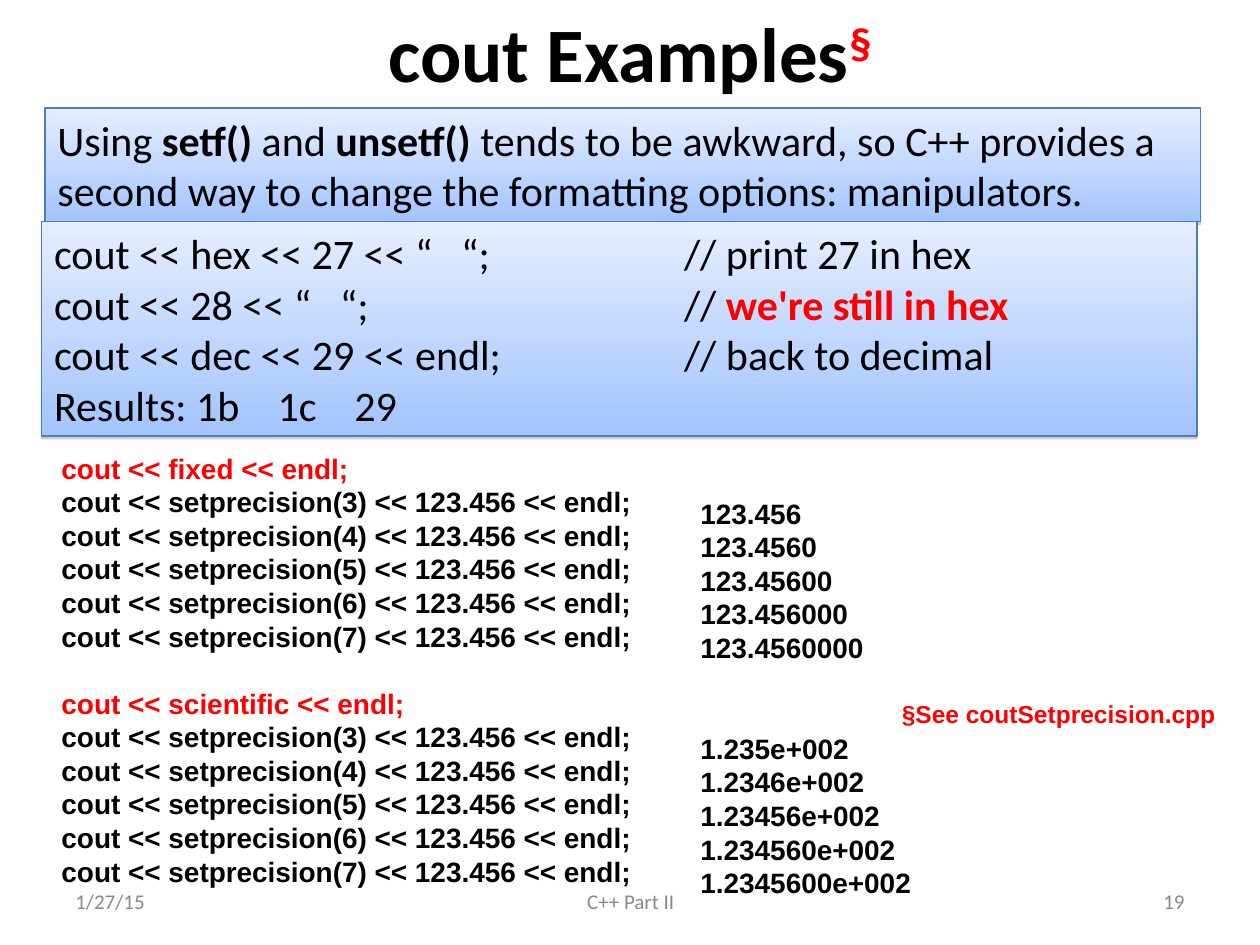
from lxml.etree import SubElement
from pptx import Presentation
from pptx.dml.color import RGBColor
from pptx.enum.shapes import MSO_SHAPE
from pptx.enum.text import MSO_ANCHOR, PP_ALIGN
from pptx.oxml.ns import qn
from pptx.util import Cm, Pt

BLACK, RED, GREY = "000000", "FF0000", "898989"
LINE_HEIGHT = 1.2
TITLE = {"name": "Calibri", "size": Pt(44), "bold": True, "color": BLACK}
FOOTER = {"name": "Calibri", "size": Pt(12), "bold": False, "color": GREY}
PANEL = {"name": "Calibri", "size": Pt(24), "bold": False, "color": BLACK}
LISTING = {"name": "Arial", "size": Pt(16), "bold": True, "color": BLACK}
NOTE = {"name": "Arial", "size": Pt(14), "bold": True, "color": RED}
BOLD, RED_TEXT, RED_BOLD = {"bold": True}, {"color": RED}, {"color": RED, "bold": True}


def rgb(value):
    return RGBColor.from_string(value)


class SlideBuilder:
    """Draws styled text, panels and listings on one slide."""

    def __init__(self, slide):
        self.slide = slide

    def fill_text(self, shape, paragraphs, style, align=PP_ALIGN.LEFT,
                  anchor=MSO_ANCHOR.TOP, wrap=True, gaps=None, tab=None):
        frame = shape.text_frame
        frame.word_wrap = wrap
        frame.vertical_anchor = anchor
        for index, runs in enumerate(paragraphs):
            paragraph = frame.paragraphs[0] if index == 0 else frame.add_paragraph()
            if tab:
                tabs = SubElement(paragraph._p.get_or_add_pPr(), qn("a:tabLst"))
                SubElement(tabs, qn("a:tab"), pos=str(tab), algn="l")
            line_height = style["size"].pt * LINE_HEIGHT
            spacing = {"alignment": align, "line_spacing": Pt(line_height)}
            if gaps and index in gaps:
                spacing["space_before"] = Pt(line_height * gaps[index])
            for name, value in spacing.items():
                setattr(paragraph, name, value)
            for text, changes in runs:
                self.add_run(paragraph, text, {**style, **changes})

    def add_run(self, paragraph, text, style):
        run = paragraph.add_run()
        run.text = text
        for name, value in style.items():
            if name == "color":
                run.font.color.rgb = rgb(value)
            elif name == "baseline":
                run.font._element.set(name, value)
            else:
                setattr(run.font, name, value)

    def text(self, left, top, width, height, paragraphs, style, inset=True, **layout):
        shape = self.slide.shapes.add_textbox(Cm(left), Cm(top), Cm(width), Cm(height))
        if not inset:
            for side in ("left", "top", "right", "bottom"):
                setattr(shape.text_frame, f"margin_{side}", 0)
        self.fill_text(shape, paragraphs, style, **layout)

    def panel(self, left, top, width, height, paragraphs, **layout):
        shape = self.slide.shapes.add_shape(
            MSO_SHAPE.RECTANGLE, Cm(left), Cm(top), Cm(width), Cm(height))
        shape.fill.gradient()
        shape.fill.gradient_angle = 270
        for stop, color in zip(shape.fill.gradient_stops, ("E5EEFF", "A3C4FF")):
            stop.color.rgb = rgb(color)
        shape.line.color.rgb = rgb("4A7EBB")
        shape.line.width = Pt(0.75)
        self.shadow(shape)
        self.fill_text(shape, paragraphs, PANEL, **layout)

    def shadow(self, shape):
        shape.shadow.inherit = False
        effects = shape._element.spPr.find(qn("a:effectLst"))
        outer = SubElement(effects, qn("a:outerShdw"), blurRad="0",
                           dist=str(Pt(1.6)), dir="5400000", rotWithShape="0")
        color = SubElement(outer, qn("a:srgbClr"), val="808080")
        SubElement(color, qn("a:alpha"), val="38000")


def plain(*lines):
    return [[(line, {})] for line in lines]


def main():
    presentation = Presentation()
    presentation.slide_width, presentation.slide_height = Cm(25.4), Cm(19.05)
    builder = SlideBuilder(presentation.slides.add_slide(presentation.slide_layouts[6]))

    title = [[("cout Examples", {}), ("§", {"color": RED, "baseline": "30000"})]]
    builder.text(1.27, 0.05, 22.86, 1.98, title, TITLE, inset=False,
                 align=PP_ALIGN.CENTER, anchor=MSO_ANCHOR.MIDDLE)

    footers = [(1.27, 5.92, "1/27/15", PP_ALIGN.LEFT),
               (8.69, 8.05, "C++ Part II", PP_ALIGN.CENTER),
               (18.21, 5.92, "19", PP_ALIGN.RIGHT)]
    for left, width, text, align in footers:
        builder.text(left, 17.65, width, 1.02, plain(text), FOOTER,
                     align=align, anchor=MSO_ANCHOR.MIDDLE)

    builder.panel(0.91, 2.18, 23.29, 2.29, [[
        ("Using ", {}), ("setf() ", BOLD), ("and ", {}), ("unsetf()", BOLD),
        (" tends to be awkward, so C++ provides a second way to change "
         "the formatting options: manipulators.", {})]])
    builder.panel(0.84, 4.47, 23.29, 4.32, [
        [("cout << hex << 27 << “   “;\t// print 27 in hex", {})],
        [("cout << 28 << “   “;\t// ", {}), ("we're still in hex", RED_BOLD)],
        [("cout << dec << 29 << endl;\t// back to decimal", {})],
        [("Results: 1b    1c    29", {})]], tab=Cm(12.7))

    precisions = range(3, 8)
    calls = plain(*(f"cout << setprecision({n}) << 123.456 << endl;" for n in precisions))
    code = []
    for manipulator in ("fixed", "scientific"):
        code += [[(f"cout << {manipulator} << endl;", RED_TEXT)]] + calls
    builder.text(0.99, 8.97, 12.07, 9.07, code, LISTING, gaps={6: 1})

    fixed = [f"{123.456:.{n}f}" for n in precisions]
    scientific = [f"{1.23456:.{n}f}e+002" for n in precisions]
    builder.text(13.87, 9.88, 9.53, 8.38, plain(*fixed, *scientific), LISTING, gaps={5: 2})

    builder.text(17.93, 13.97, 6.83, 0.86, plain("§See coutSetprecision.cpp"), NOTE, wrap=False)
    presentation.save("out.pptx")


if __name__ == "__main__":
    main()
